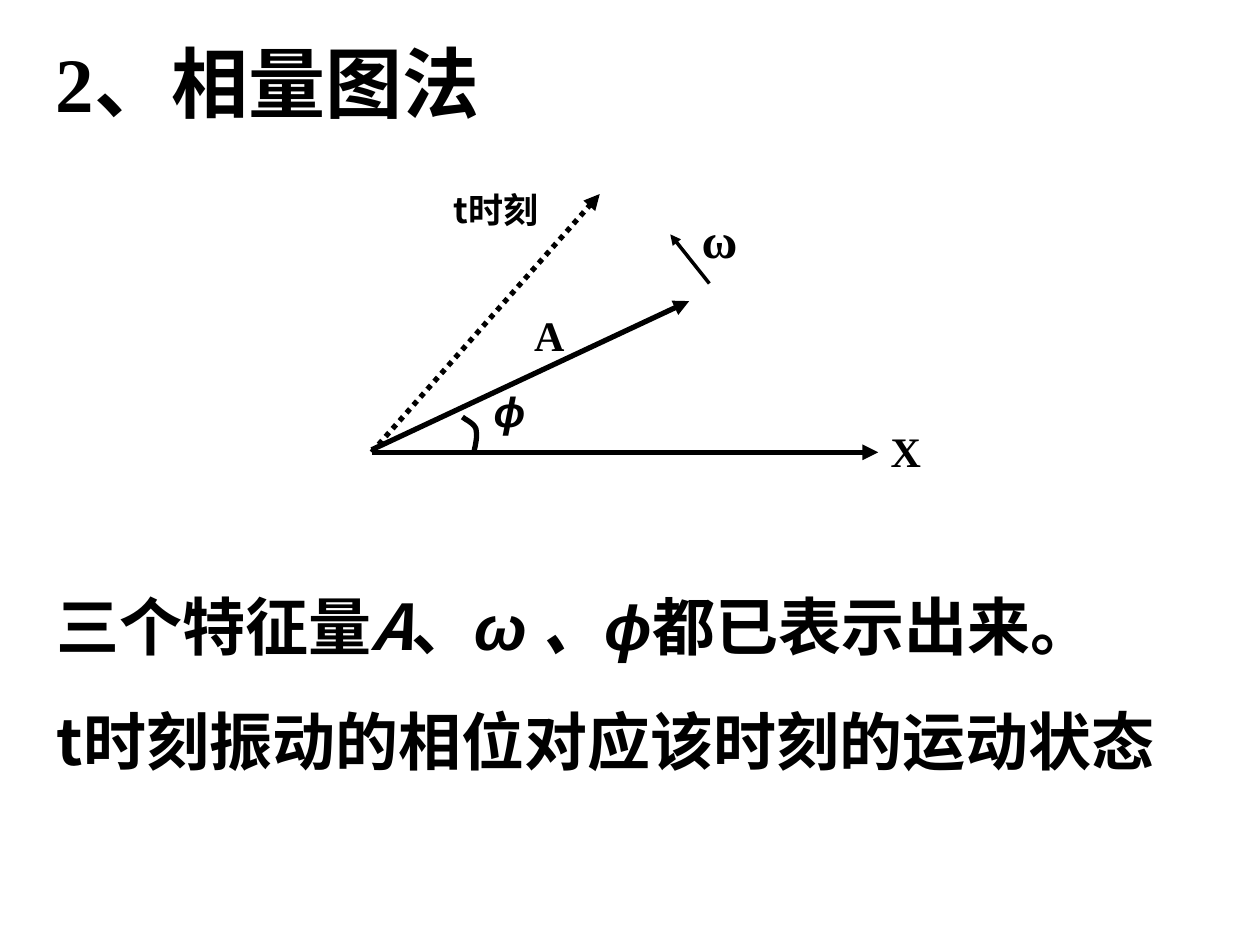
from dataclasses import dataclass

import pptx
import pptx.dml.color
import pptx.enum.dml
import pptx.enum.shapes
import pptx.enum.text
import pptx.util
from lxml import etree
from pptx.oxml.ns import qn
from pptx.util import Inches


@dataclass(frozen=True)
class Theme:
    ink: pptx.dml.color.RGBColor = pptx.dml.color.RGBColor(0, 0, 0)
    serif: str = "Times New Roman"
    sans: str = "Arial"
    chinese: str = "Noto Sans CJK SC"
    title: int = 44
    body: int = 36
    omega: int = 28
    label: int = 24
    note: int = 20
    body_gap: float = 22.5
    heavy: int = 3
    light: int = 2


THEME = Theme()


def add_span(para, text, size, font, italic=False):
    span = para.add_run()
    span.text = text
    span.font.size = pptx.util.Pt(size)
    span.font.bold = True
    span.font.italic = italic
    span.font.color.rgb = THEME.ink
    span.font.name = font
    east_asian = etree.SubElement(span.font._element, qn("a:ea"))
    east_asian.set("typeface", THEME.chinese)


def add_title(page, text, left, top, width, height):
    title = page.shapes.title
    title.left, title.top = Inches(left), Inches(top)
    title.width, title.height = Inches(width), Inches(height)
    title.text_frame.vertical_anchor = pptx.enum.text.MSO_ANCHOR.MIDDLE
    para = title.text_frame.paragraphs[0]
    para.alignment = pptx.enum.text.PP_ALIGN.CENTER
    add_span(para, text, THEME.title, THEME.serif)


def add_box(page, left, top, width, height, wrap=True):
    box = page.shapes.add_textbox(Inches(left), Inches(top), Inches(width), Inches(height))
    box.text_frame.word_wrap = wrap
    return box.text_frame


def add_label(page, text, place, size, font, italic=False, wrap=True):
    frame = add_box(page, *place, wrap=wrap)
    add_span(frame.paragraphs[0], text, size, font, italic)


def add_body(page, lines, place):
    """Each line is a list of (text, font, italic) spans."""
    frame = add_box(page, *place)
    for index, spans in enumerate(lines):
        para = frame.add_paragraph() if index else frame.paragraphs[0]
        if index:
            para.space_before = pptx.util.Pt(THEME.body_gap)
        for text, font, italic in spans:
            add_span(para, text, THEME.body, font, italic)


def style_line(line, weight):
    line.color.rgb = THEME.ink
    line.width = pptx.util.Pt(weight)


def add_arrow(page, start, end, weight, dash=None):
    arrow = page.shapes.add_connector(
        pptx.enum.shapes.MSO_CONNECTOR.STRAIGHT, *map(Inches, start + end))
    style_line(arrow.line, weight)
    if dash:
        arrow.line.dash_style = dash
    properties = arrow._element.spPr
    etree.SubElement(properties.find(qn("a:ln")), qn("a:tailEnd")).set("type", "triangle")
    etree.SubElement(properties, qn("a:effectLst"))


def curve_points(start, control_1, control_2, end, steps=10):
    """Points after start along a cubic Bezier curve, as lengths."""
    for step in range(1, steps + 1):
        t = step / steps
        u = 1 - t
        yield tuple(
            Inches(u**3 * a + 3 * u * u * t * b + 3 * u * t * t * c + t**3 * d)
            for a, b, c, d in zip(start, control_1, control_2, end))


def add_angle_arc(page):
    top, bend, bottom = (3.67, 3.31), (3.78, 3.42), (3.76, 3.6)
    points = [*curve_points(top, (3.71, 3.34), (3.78, 3.37), bend),
              *curve_points(bend, (3.79, 3.48), (3.77, 3.54), bottom)]
    builder = page.shapes.build_freeform(*map(Inches, top))
    builder.add_line_segments(points, close=False)
    arc = builder.convert_to_shape()
    arc.shadow.inherit = False
    arc.fill.background()
    style_line(arc.line, THEME.heavy)


def add_phasor_diagram(page):
    origin = (2.95, 3.59)
    add_arrow(page, origin, (6.97, 3.59), THEME.heavy)
    add_arrow(page, (2.95, 3.57), (5.47, 2.39), THEME.heavy)
    add_arrow(page, (5.63, 2.25), (5.32, 1.86), THEME.light)
    add_arrow(page, origin, (4.76, 1.54), THEME.heavy,
              pptx.enum.dml.MSO_LINE.ROUND_DOT)
    add_angle_arc(page)
    add_label(page, "ω", (5.47, 1.61, 0.47, 0.57), THEME.omega, THEME.serif)
    add_label(page, "X", (6.97, 3.33, 0.44, 0.5), THEME.label, THEME.serif, wrap=False)
    add_label(page, "ϕ", (3.82, 3.01, 0.39, 0.5), THEME.label, THEME.sans, italic=True)
    add_label(page, "A", (4.14, 2.41, 0.47, 0.5), THEME.label, THEME.serif)
    add_label(page, "t时刻", (3.5, 1.45, 0.94, 0.77), THEME.note, THEME.chinese)


def main():
    deck = pptx.Presentation()
    deck.slide_width, deck.slide_height = Inches(10), Inches(7.5)
    page = deck.slides.add_slide(deck.slide_layouts.get_by_name("Title Only"))
    add_title(page, "2、相量图法", 0.04, 0.22, 4.17, 0.86)
    add_phasor_diagram(page)
    add_body(page, [
        [("三个特征量", THEME.chinese, False),
         ("A", THEME.chinese, True),
         ("、", THEME.chinese, False),
         ("ω", THEME.sans, True),
         (" 、", THEME.chinese, True),
         ("ϕ", THEME.sans, True),
         ("都已表示出来。", THEME.chinese, False)],
        [("t时刻振动的相位对应该时刻的运动状态", THEME.chinese, False)],
    ], (0.35, 4.61, 9.21, 1.62))
    deck.save("out.pptx")


if __name__ == "__main__":
    main()
